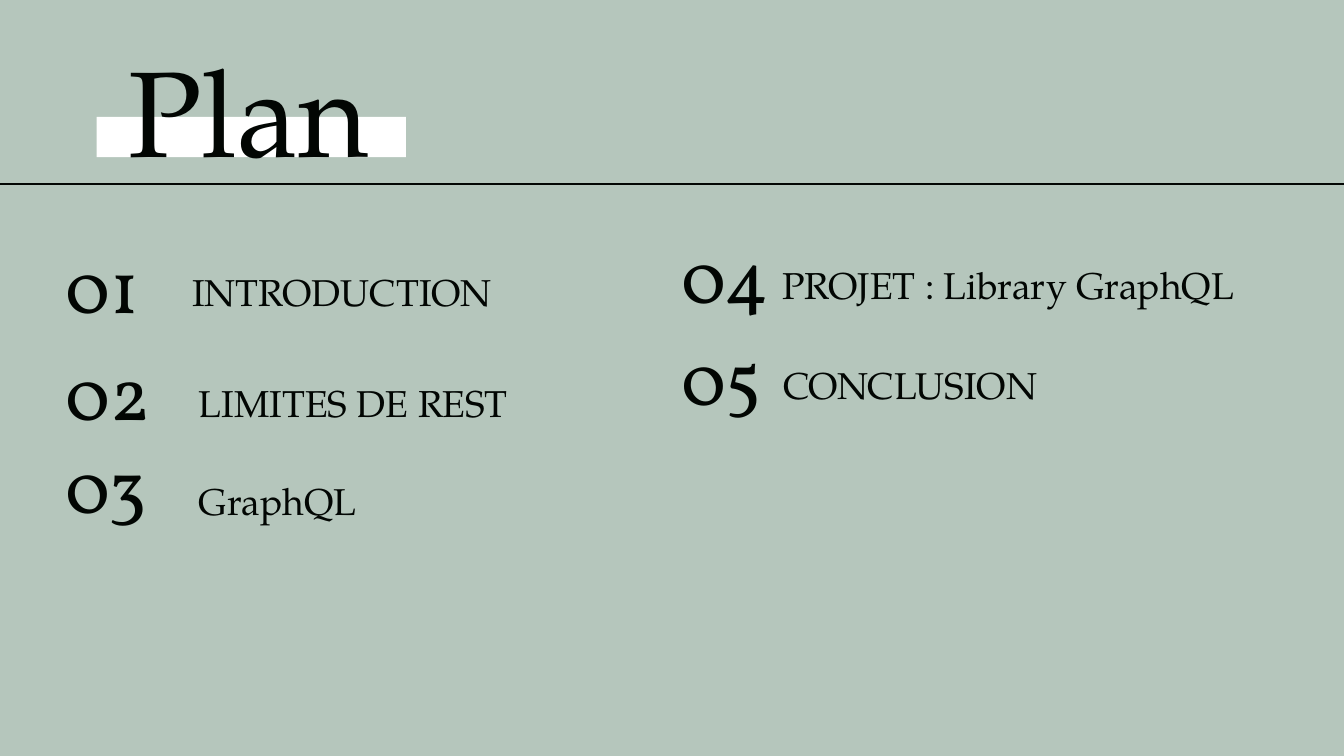
import pptx
import pptx.dml.color
import pptx.enum.shapes
import pptx.enum.text
import pptx.oxml.ns
import pptx.util
import lxml.etree

Inches = pptx.util.Inches
Pt = pptx.util.Pt

INK = "020603"
SAGE = "B5C6BC"
WHITE = "FFFFFF"
TITLE_STYLE = {"name": "TeX Gyre Pagella", "size": Pt(65.2)}
LABEL_STYLE = {"name": "TeX Gyre Pagella", "size": Pt(20)}
NUMBER_STYLE = {"name": "Vollkorn", "size": Pt(40)}
FRAME_STYLE = {
    "margin_left": 0,
    "margin_top": 0,
    "margin_right": 0,
    "margin_bottom": 0,
    "word_wrap": True,
    "vertical_anchor": pptx.enum.text.MSO_ANCHOR.TOP,
    "auto_size": pptx.enum.text.MSO_AUTO_SIZE.SHAPE_TO_FIT_TEXT,
}
LEFT = pptx.enum.text.PP_ALIGN.LEFT
CENTER = pptx.enum.text.PP_ALIGN.CENTER


def color(value):
    return pptx.dml.color.RGBColor.from_string(value)


def apply_format(target, values):
    for name, value in values.items():
        setattr(target, name, value)


def write_text(shape, text, style, line_spacing, alignment=LEFT):
    frame = shape.text_frame
    frame.text = text
    apply_format(frame, FRAME_STYLE)
    paragraph = frame.paragraphs[0]
    apply_format(paragraph, {"alignment": alignment, "line_spacing": Pt(line_spacing)})
    font = paragraph.runs[0].font
    apply_format(font, style)
    font.color.rgb = color(INK)


def add_text(slide, box, text, style, line_spacing):
    shape = slide.shapes.add_textbox(*map(Inches, box))
    write_text(shape, text, style, line_spacing)


def add_header(slide, left, top, width, height):
    rule = slide.shapes.add_connector(
        pptx.enum.shapes.MSO_CONNECTOR.STRAIGHT,
        Inches(-0.12), Inches(top + 1.28), Inches(10), Inches(top + 1.28),
    )
    rule.line.color.rgb = color(INK)
    rule.line.width = Pt(0.75)
    properties = rule.element.find(pptx.oxml.ns.qn("p:spPr"))
    lxml.etree.SubElement(properties, pptx.oxml.ns.qn("a:effectLst"))

    band = slide.shapes.add_shape(
        pptx.enum.shapes.MSO_SHAPE.RECTANGLE,
        Inches(left + 0.23), Inches(top + 0.78), Inches(2.3), Inches(0.3),
    )
    band.shadow.inherit = False
    band.fill.solid()
    band.fill.fore_color.rgb = color(WHITE)
    band.line.fill.background()

    title = slide.shapes.title
    apply_format(title, {
        "left": Inches(left),
        "top": Inches(top),
        "width": Inches(width),
        "height": Inches(height),
    })
    write_text(title, "Plan", TITLE_STYLE, 91.2, CENTER)
    band.element.addnext(title.element)


def add_plan_item(slide, left, top, number, label, label_left, label_top, label_width):
    label_box = (left + label_left, top + label_top, label_width, 0.3)
    add_text(slide, label_box, label, LABEL_STYLE, 20.5)
    add_text(slide, (left, top, 0.94, 0.51), f"{number:02d}", NUMBER_STYLE, 36)


def build_plan_slide(presentation):
    slide = presentation.slides.add_slide(presentation.slide_layouts[5])
    slide.background.fill.solid()
    slide.background.fill.fore_color.rgb = color(SAGE)
    add_header(slide, 0.49, 0.09, 2.72, 1.2)

    items = [
        (0.49, 1.94, "INTRODUCTION", 0.94, 0.11, 3.64),
        (0.49, 2.74, "LIMITES DE REST", 0.99, 0.14, 3.47),
        (0.49, 3.43, "GraphQL", 0.99, 0.18, 4.26),
        (5.07, 1.87, "PROJET : Library GraphQL", 0.75, 0.13, 5.45),
        (5.07, 2.63, "CONCLUSION", 0.76, 0.11, 3.71),
    ]
    for number, (left, top, label, *label_place) in enumerate(items, start=1):
        add_plan_item(slide, left, top, number, label, *label_place)


def main():
    presentation = pptx.Presentation()
    presentation.slide_width = Inches(10)
    presentation.slide_height = Inches(10 * 9 / 16)
    build_plan_slide(presentation)
    presentation.save("out.pptx")


if __name__ == "__main__":
    main()
